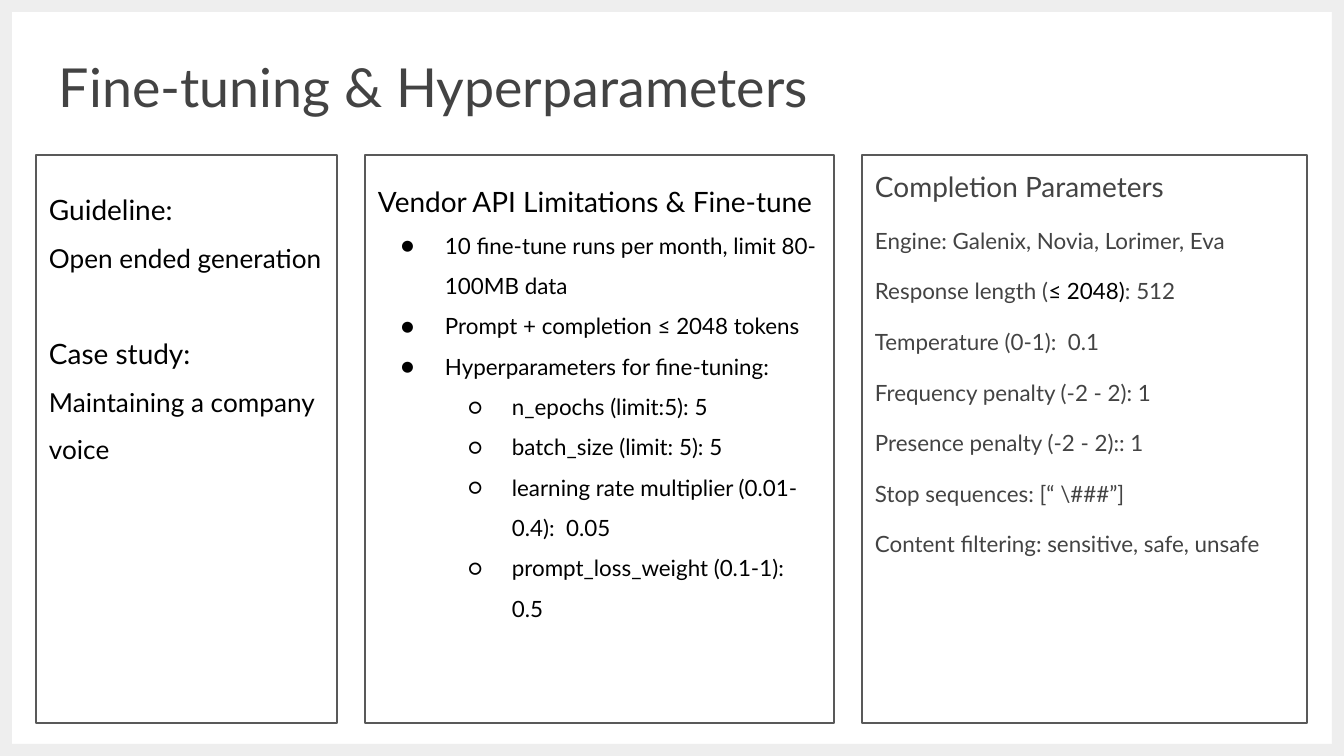
from lxml import etree
from pptx import Presentation
from pptx.dml.color import RGBColor
from pptx.enum.shapes import MSO_SHAPE
from pptx.enum.text import MSO_ANCHOR, PP_ALIGN
from pptx.oxml.ns import qn
from pptx.util import Emu, Pt

RECTANGLE = MSO_SHAPE.RECTANGLE
TOP = MSO_ANCHOR.TOP
LEFT = PP_ALIGN.LEFT

FONT = "Lato"
COLORS = {
    "frame": "EEEEEE",
    "page": "FFFFFF",
    "border": "595959",
    "gray": "434343",
    "black": "000000",
}

# Layout in px
WIDTH, HEIGHT = 1344, 756
FRAME = 12
INSET = 13
PANEL_TOP, PANEL_HEIGHT = 155, 568
PANEL_LEFT, PANEL_GAP = 36, 28
PANEL_WIDTHS = (301, 469, 445)
INDENT, HANGING = 67, 44
BULLETS = "●○"

# Text of the panels
LIMITS = [
    (0, "10 fine-tune runs per month, limit 80-100MB data"),
    (0, "Prompt + completion ≤ 2048 tokens"),
    (0, "Hyperparameters for fine-tuning:"),
    (1, "n_epochs (limit:5): 5"),
    (1, "batch_size (limit: 5): 5"),
    (1, "learning rate multiplier (0.01-0.4):  0.05"),
    (1, "prompt_loss_weight (0.1-1): 0.5"),
]
PARAMETERS = [
    [("Engine: Galenix, Novia, Lorimer, Eva", "gray")],
    [("Response length (", "gray"), ("≤ 2048)", "black"), (": 512", "gray")],
    [("Temperature (0-1):  0.1", "gray")],
    [("Frequency penalty (-2 - 2): 1", "gray")],
    [("Presence penalty (-2 - 2):: 1", "gray")],
    [("Stop sequences: [“ \\###”]", "gray")],
    [("Content filtering: sensitive, safe, unsafe", "gray")],
]


def px(value):
    return Emu(round(value * 914400 / 134.4))


def color(name):
    return RGBColor.from_string(COLORS[name])


def add_rectangle(page, left, top, width, height, fill=None, line=None):
    shape = page.shapes.add_shape(RECTANGLE, px(left), px(top), px(width), px(height))
    shape.shadow.inherit = False
    if fill:
        shape.fill.solid()
        shape.fill.fore_color.rgb = color(fill)
    else:
        shape.fill.background()
    if line:
        shape.line.color.rgb = color(line)
        shape.line.width = Pt(0.75)
    else:
        shape.line.fill.background()


def add_text_box(page, left, top, width, height):
    box = page.shapes.add_textbox(px(left), px(top), px(width), px(height))
    frame = box.text_frame
    frame.word_wrap = True
    frame.vertical_anchor = TOP
    frame.margin_left = frame.margin_right = px(INSET)
    frame.margin_top = frame.margin_bottom = px(INSET)
    return frame


def set_bullet(para, level):
    para.level = level
    properties = para._p.get_or_add_pPr()
    properties.set("marL", str(px(INDENT * (level + 1))))
    properties.set("indent", str(-px(HANGING)))
    bullet_color = etree.SubElement(properties, qn("a:buClr"))
    etree.SubElement(bullet_color, qn("a:srgbClr"), val=COLORS["black"])
    etree.SubElement(properties, qn("a:buFont"), typeface=FONT)
    etree.SubElement(properties, qn("a:buChar"), char=BULLETS[level])


def add_paragraph(frame, spans, size, spacing=1.5, before=0, level=None):
    """Fill the empty first paragraph, or append one; spans are (text, color)."""
    para = frame.paragraphs[0]
    if para.runs:
        para = frame.add_paragraph()
    para.alignment = LEFT
    para.line_spacing = spacing
    if before:
        para.space_before = Pt(before)
    if level is not None:
        set_bullet(para, level)
    para.font.name = FONT
    para.font.size = Pt(size)
    if len(spans) == 1:
        para.font.color.rgb = color(spans[0][1])
    for text, name in spans:
        span = para.add_run()
        span.text = text
        if len(spans) > 1:
            span.font.color.rgb = color(name)


def add_frame(page):
    for left in (0, WIDTH - FRAME):
        add_rectangle(page, left, 0, FRAME, HEIGHT, fill="frame")
    for top in (0, HEIGHT - FRAME):
        add_rectangle(page, FRAME, top, WIDTH - FRAME, FRAME, fill="frame")


def add_panels(page):
    """Draw the three outlines and return their left edges."""
    edges = []
    left = PANEL_LEFT
    for width in PANEL_WIDTHS:
        add_rectangle(page, left, PANEL_TOP, width, PANEL_HEIGHT, line="border")
        edges.append(left)
        left += width + PANEL_GAP
    return edges


def main():
    deck = Presentation()
    deck.slide_width, deck.slide_height = px(WIDTH), px(HEIGHT)
    page = deck.slides.add_slide(deck.slide_layouts[6])
    page.background.fill.solid()
    page.background.fill.fore_color.rgb = color("page")

    # Frame, panels and title
    add_frame(page)
    guide_left, limits_left, parameters_left = add_panels(page)
    title = add_text_box(page, 46, 41, 1253, 84)
    add_paragraph(title, [("Fine-tuning & Hyperparameters", "gray")], 28.8, 1.0)

    # Left panel: guideline and case study
    guide = add_text_box(page, guide_left, 163, PANEL_WIDTHS[0], 351)
    add_paragraph(guide, [("Guideline:", "black")], 15)
    add_paragraph(guide, [("Open ended generation", "black")], 14)
    add_paragraph(guide, [("Case study:", "black")], 15, before=25)
    add_paragraph(guide, [("Maintaining a company voice", "black")], 14)

    # Middle panel: limitations
    limits = add_text_box(page, limits_left, PANEL_TOP, PANEL_WIDTHS[1], 476)
    add_paragraph(limits, [("Vendor API Limitations & Fine-tune", "black")], 15)
    for level, text in LIMITS:
        add_paragraph(limits, [(text, "black")], 12, level=level)

    # Right panel: completion parameters
    parameters = add_text_box(page, parameters_left, PANEL_TOP, 429, PANEL_HEIGHT)
    add_paragraph(parameters, [("Completion Parameters", "gray")], 15, 1.05)
    for spans in PARAMETERS:
        add_paragraph(parameters, spans, 12, 1.05, before=12)

    deck.save("out.pptx")


if __name__ == "__main__":
    main()
